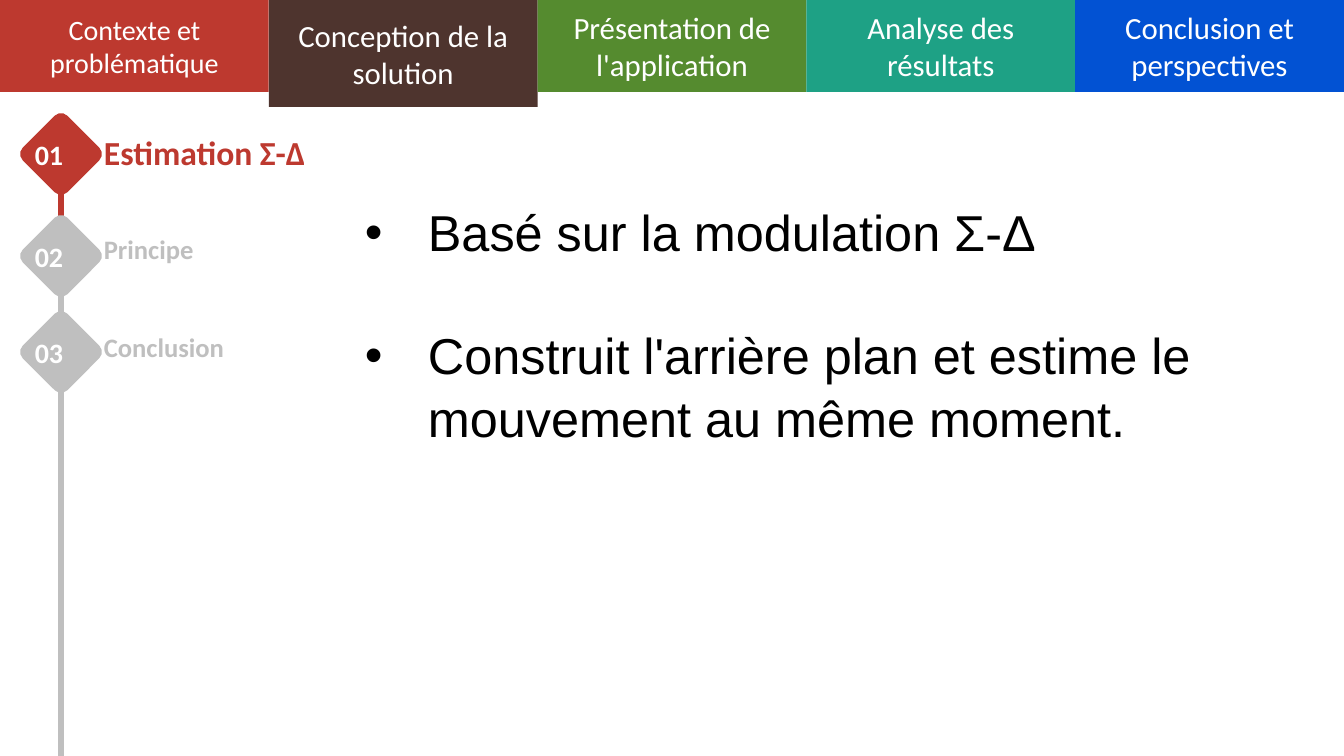
from pptx import Presentation
from pptx.dml.color import RGBColor
from pptx.enum.shapes import MSO_CONNECTOR, MSO_SHAPE
from pptx.enum.text import MSO_ANCHOR, PP_ALIGN
from pptx.oxml.ns import qn
from pptx.util import Pt
from lxml import etree

RECT, ROUND_RECT = MSO_SHAPE.RECTANGLE, MSO_SHAPE.ROUNDED_RECTANGLE
STRAIGHT = MSO_CONNECTOR.STRAIGHT
TOP, MIDDLE = MSO_ANCHOR.TOP, MSO_ANCHOR.MIDDLE
LEFT, CENTER = PP_ALIGN.LEFT, PP_ALIGN.CENTER

# Content
TABS = [  # text, fill, height, type size
    ("Contexte et problématique", "red", 92, "tab_small"),
    ("Conception de la solution", "brown", 107, "tab"),
    ("Présentation de l'application", "green", 92, "tab"),
    ("Analyse des résultats", "teal", 92, "tab"),
    ("Conclusion et perspectives", "blue", 92, "tab"),
]
STEPS = [  # label, colour, type size, centre of diamond, top of label, label size
    ("Estimation Σ-Δ", "red", "active", 154, 127, (249, 50)),
    ("Principe", "grey", "step", 256, 228, (237, 42)),
    ("Conclusion", "grey", "step", 352, 326, (187, 42)),
]
RAILS = [("red", 192, 725), ("grey", 274, 756)]  # colour, top, bottom
BULLETS = [
    "Basé sur la modulation Σ-Δ",
    "Construit l'arrière plan et estime le mouvement au même moment.",
]

THEME = {
    "colors": {"red": "BD392F", "brown": "4E342E", "green": "558B2F", "teal": "1EA185",
               "blue": "0252D3", "grey": "BFBFBF", "white": "FFFFFF", "black": "000000"},
    "sizes": {"tab": 22, "tab_small": 20, "number": 20, "active": 24, "step": 19, "body": 36},
    "heading_font": "Calibri",
    "body_font": "Arial",
}

# Geometry in px
SLIDE_W, SLIDE_H = 1344, 756
RAIL_X, DIAMOND, NUMBER_X = 61, 63, 49
LABEL_X = 94
BODY_BOX = (355, 194, 969, 252)
BODY_INDENT = 63


def px(n):
    return round(n * 914400 / 100.8)


def color(name):
    return RGBColor.from_string(THEME["colors"][name])


def set_attrs(obj, values):
    for name, value in values.items():
        setattr(obj, name, value)


def write(p, text, size, fill, bold=False, font=THEME["heading_font"]):
    r = p.add_run()
    r.text = text
    set_attrs(r.font, {"name": font, "size": Pt(THEME["sizes"][size]), "bold": bold})
    r.font.color.rgb = color(fill)


def add_block(s, kind, box, fill):
    sp = s.shapes.add_shape(kind, *map(px, box))
    sp.shadow.inherit = False
    sp.fill.solid()
    sp.fill.fore_color.rgb = color(fill)
    sp.line.fill.background()
    return sp


def add_text(s, box, text, size, fill, align=LEFT, anchor=TOP, **frame):
    tf = s.shapes.add_textbox(*map(px, box)).text_frame
    set_attrs(tf, {"word_wrap": True, "vertical_anchor": anchor, **frame})
    tf.paragraphs[0].alignment = align
    write(tf.paragraphs[0], text, size, fill, bold=True)


def add_rail(s, fill, top, bottom):
    line = s.shapes.add_connector(STRAIGHT, px(RAIL_X), px(top), px(RAIL_X), px(bottom))
    line.line.color.rgb = color(fill)
    line.line.width = Pt(5)
    etree.SubElement(line._element.spPr, qn("a:effectLst"))


def add_bullet(p):
    pPr = p._p.get_or_add_pPr()
    pPr.set("marL", str(px(BODY_INDENT)))
    pPr.set("indent", str(-px(BODY_INDENT)))
    etree.SubElement(pPr, qn("a:buFont")).set("typeface", THEME["body_font"])
    etree.SubElement(pPr, qn("a:buChar")).set("char", "•")


def main():
    prs = Presentation()
    set_attrs(prs, {"slide_width": px(SLIDE_W), "slide_height": px(SLIDE_H)})
    s = prs.slides.add_slide(prs.slide_layouts[6])

    # Vertical timeline
    for rail in RAILS:
        add_rail(s, *rail)
    for i, (label, fill, size, cy, label_y, label_size) in enumerate(STEPS, 1):
        half = DIAMOND / 2
        box = (RAIL_X - half, cy - half, DIAMOND, DIAMOND)
        diamond = add_block(s, ROUND_RECT, box, fill)
        diamond.adjustments[0] = 0.14
        diamond.rotation = 45
        add_text(s, (NUMBER_X - 20, cy - 20, 40, 40), f"{i:02}", "number", "white", CENTER,
                 MIDDLE, margin_left=0, margin_right=0, margin_top=0, margin_bottom=0)
        add_text(s, (LABEL_X, label_y, *label_size), label, size, fill)

    # Navigation tabs
    tab_w = SLIDE_W / len(TABS)
    for i, (text, fill, height, size) in enumerate(TABS):
        tf = add_block(s, RECT, (i * tab_w, 0, tab_w, height), fill).text_frame
        set_attrs(tf, {"word_wrap": True, "vertical_anchor": MIDDLE})
        tf.paragraphs[0].alignment = CENTER
        write(tf.paragraphs[0], text, size, "white")

    # Main bullets
    tf = s.shapes.add_textbox(*map(px, BODY_BOX)).text_frame
    tf.word_wrap = True
    for i, text in enumerate(BULLETS):
        p = tf.add_paragraph() if i else tf.paragraphs[0]
        add_bullet(p)
        set_attrs(p, {"line_spacing": 1.04, "space_before": Pt(43 if i else 0)})
        write(p, text, "body", "black", font=THEME["body_font"])

    prs.save("out.pptx")


if __name__ == "__main__":
    main()
